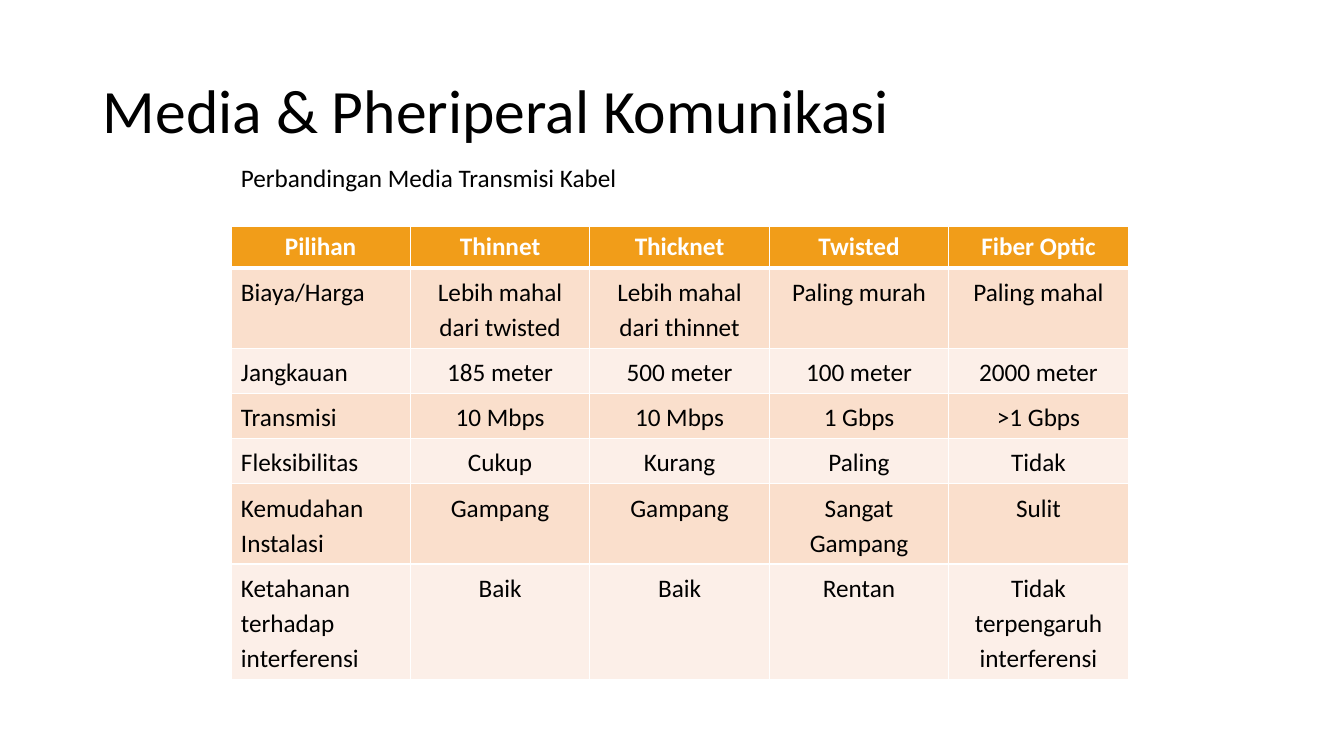
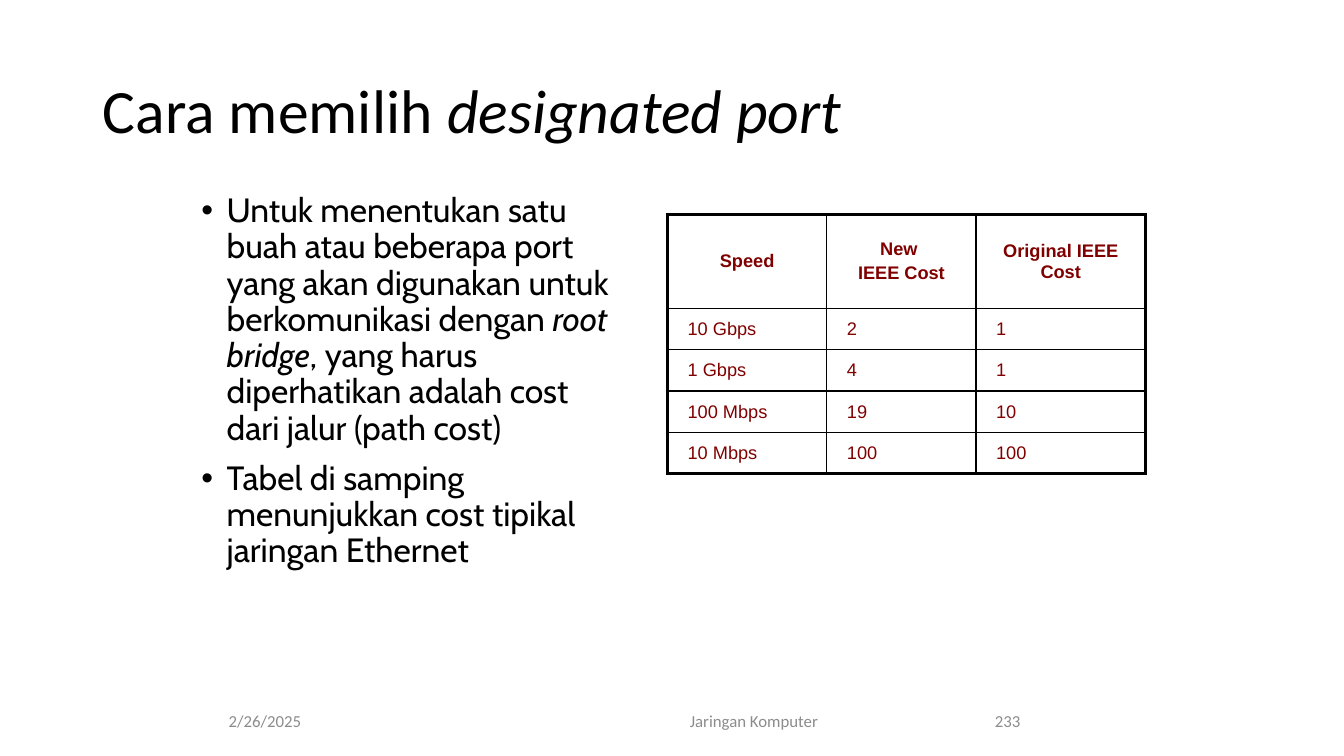
from lxml import etree
from pptx import Presentation
from pptx.dml.color import RGBColor
from pptx.enum.text import MSO_ANCHOR as ANCHOR, MSO_AUTO_SIZE as AUTO, PP_ALIGN as ALIGN
from pptx.oxml.ns import qn
from pptx.util import Inches, Pt

COLORS = {
    "text": "000000", "white": "FFFFFF", "header": "F19D19", "band_dark": "FADFCC",
    "band_light": "FCEFE8", "maroon": "800000", "footer": "8C8C8C",
}

# Text is a list of paragraphs, and a paragraph is a list of (text, italic) runs.
MEDIA_TITLE = [[("Media & Pheriperal Komunikasi", False)]]
MEDIA_CAPTION = [[("Perbandingan Media Transmisi Kabel", False)]]
MEDIA_ROWS = [
    ("Pilihan", "Thinnet", "Thicknet", "Twisted", "Fiber Optic"),
    ("Biaya/Harga", "Lebih mahal dari twisted", "Lebih mahal dari thinnet",
     "Paling murah", "Paling mahal"),
    ("Jangkauan", "185 meter", "500 meter", "100 meter", "2000 meter"),
    ("Transmisi", "10 Mbps", "10 Mbps", "1 Gbps", ">1 Gbps"),
    ("Fleksibilitas", "Cukup", "Kurang", "Paling", "Tidak"),
    ("Kemudahan Instalasi", "Gampang", "Gampang", "Sangat Gampang", "Sulit"),
    ("Ketahanan terhadap interferensi", "Baik", "Baik", "Rentan",
     "Tidak terpengaruh interferensi"),
]

PORT_TITLE = [[("Cara memilih ", False), ("designated port", True)]]
PORT_POINTS = [
    [("Untuk menentukan satu buah atau beberapa port yang akan digunakan untuk "
      "berkomunikasi dengan ", False),
     ("root bridge", True),
     (", yang harus diperhatikan adalah cost dari jalur (path cost)", False)],
    [("Tabel di samping menunjukkan cost tipikal jaringan Ethernet", False)],
]
COST_ROWS = [
    ("Speed", "New \nIEEE Cost", "Original IEEE Cost"),
    ("10 Gbps", "2", "1"),
    ("1 Gbps", "4", "1"),
    ("100 Mbps", "19", "10"),
    ("10 Mbps", "100", "100"),
]
FOOTERS = [  # text, left, width, alignment
    ("2/26/2025", 2.17, 2.33, ALIGN.LEFT),
    ("Jaringan Komputer ", 5.08, 3.17, ALIGN.RIGHT),
    ("233", 8.83, 2.33, ALIGN.CENTER),
]


def rgb(name):
    return RGBColor.from_string(COLORS[name])


def add_bullet(p, indent=0.25):
    pPr = p._p.get_or_add_pPr()
    pPr.set("marL", str(Inches(indent)))
    pPr.set("indent", str(-Inches(indent)))
    etree.SubElement(pPr, qn("a:buFont"), typeface="Arial")
    etree.SubElement(pPr, qn("a:buChar"), char="•")


def write(tf, paragraphs, *, size, font="Calibri", color="text", bold=False,
          align=ALIGN.LEFT, line=None, gap=0, bullet=False):
    for i, runs in enumerate(paragraphs):
        p = tf.add_paragraph() if i else tf.paragraphs[0]
        p.alignment, p.line_spacing = align, line
        p.space_before = Pt(gap if i else 0)
        if bullet:
            add_bullet(p)
        for text, italic in runs:
            r = p.add_run()
            r.text = text
            f = r.font
            f.name, f.size, f.bold, f.italic = font, Pt(size), bold, italic
            f.color.rgb = rgb(color)


def add_text(s, at, paragraphs, anchor=ANCHOR.TOP, **style):
    tf = s.shapes.add_textbox(*map(Inches, at)).text_frame
    tf.word_wrap, tf.vertical_anchor = True, anchor
    write(tf, paragraphs, **style)


def add_titled_slide(prs, title):
    s = prs.slides.add_slide(prs.slide_layouts[5])
    sp = s.shapes.title
    sp.left, sp.top, sp.width, sp.height = map(Inches, (0.92, 0.4, 11.5, 1.45))
    tf = sp.text_frame
    tf.word_wrap, tf.auto_size, tf.vertical_anchor = True, AUTO.NONE, ANCHOR.MIDDLE
    write(tf, title, size=44, line=0.9)
    return s


def set_borders(cell, color, widths):
    """Draw the left, right, top and bottom borders, with widths in points."""
    tcPr = cell._tc.get_or_add_tcPr()
    for i, (side, width) in enumerate(zip("LRTB", widths)):
        ln = etree.Element(qn(f"a:ln{side}"), w=str(Pt(width)))
        fill = etree.SubElement(ln, qn("a:solidFill"))
        etree.SubElement(fill, qn("a:srgbClr"), val=COLORS[color])
        tcPr.insert(i, ln)


def add_grid(s, left, top, cols, heights, rows, format_cell):
    """Add a table and pass each cell, with its text and place, to format_cell."""
    table = s.shapes.add_table(len(rows), len(cols), Inches(left), Inches(top),
                               Inches(sum(cols)), Inches(sum(heights))).table
    table.first_row = table.horz_banding = False
    for col, width in zip(table.columns, cols):
        col.width = Inches(width)
    for row, height in zip(table.rows, heights):
        row.height = Inches(height)
    for r, texts in enumerate(rows):
        for c, text in enumerate(texts):
            paragraphs = [[(part, False)] for part in text.split("\n")]
            format_cell(table.cell(r, c), paragraphs, r, c)


def format_media_cell(cell, paragraphs, r, c):
    header = r == 0
    cell.fill.solid()
    cell.fill.fore_color.rgb = rgb(
        "header" if header else "band_dark" if r % 2 else "band_light")
    write(cell.text_frame, paragraphs, size=18, bold=header,
          color="white" if header else "text", line=None if header else 1.14,
          align=ALIGN.CENTER if header or c else ALIGN.LEFT)
    set_borders(cell, "white", (1, 1, 3 if r == 1 else 1, 3 if header else 1))


def format_cost_cell(cell, paragraphs, r, c):
    header = r == 0
    cell.fill.background()
    cell.vertical_anchor = ANCHOR.MIDDLE
    cell.margin_left = cell.margin_right = Inches(0.2)
    write(cell.text_frame, paragraphs, size=13, font="Arial", color="maroon",
          bold=header, align=ALIGN.CENTER if header else ALIGN.LEFT, gap=2.6)
    outer = (c == 0, c == len(COST_ROWS[0]) - 1, header, r == len(COST_ROWS) - 1)
    set_borders(cell, "text", [2.25 if edge else 1 for edge in outer])


def build_media_slide(prs):
    s = add_titled_slide(prs, MEDIA_TITLE)
    add_grid(s, 2.29, 2.25, [1.78] * 5, [0.41] * len(MEDIA_ROWS), MEDIA_ROWS,
             format_media_cell)
    add_text(s, (2.29, 1.56, 5.31, 0.4), MEDIA_CAPTION, size=18)


def build_port_slide(prs):
    s = add_titled_slide(prs, PORT_TITLE)
    add_grid(s, 6.62, 2.13, [1.58, 1.48, 1.68], [0.93] + [0.41] * 4, COST_ROWS,
             format_cost_cell)
    add_text(s, (1.9, 1.87, 4.38, 5.13), PORT_POINTS, size=24, font="Cabin",
             line=0.9, gap=10, bullet=True)
    for text, left, width, align in FOOTERS:
        add_text(s, (left, 6.95, width, 0.4), [[(text, False)]], ANCHOR.MIDDLE,
                 size=12, color="footer", align=align)


def main():
    prs = Presentation()
    prs.slide_width, prs.slide_height = Inches(13.33), Inches(7.5)
    build_media_slide(prs)
    build_port_slide(prs)
    prs.save("out.pptx")


if __name__ == "__main__":
    main()
